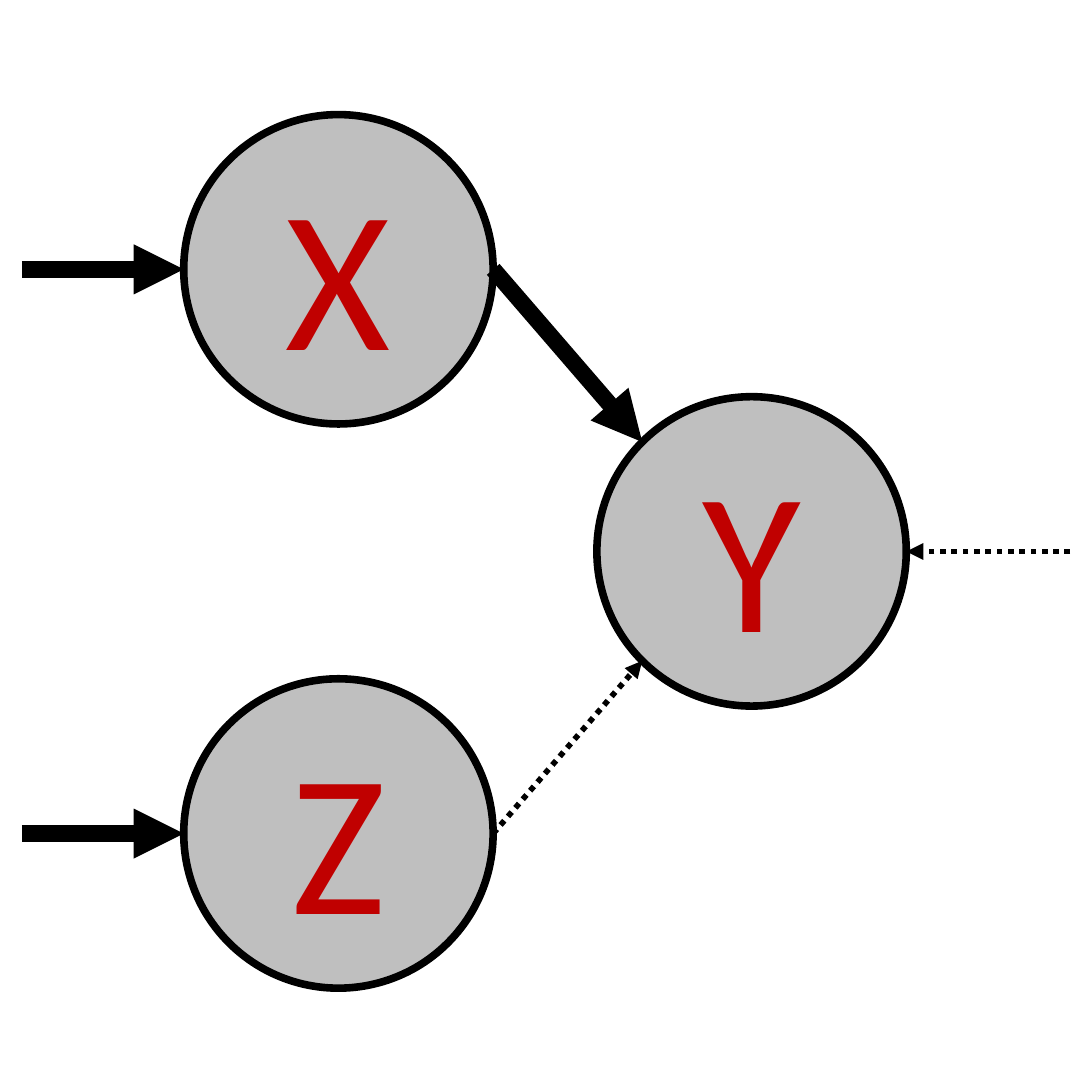
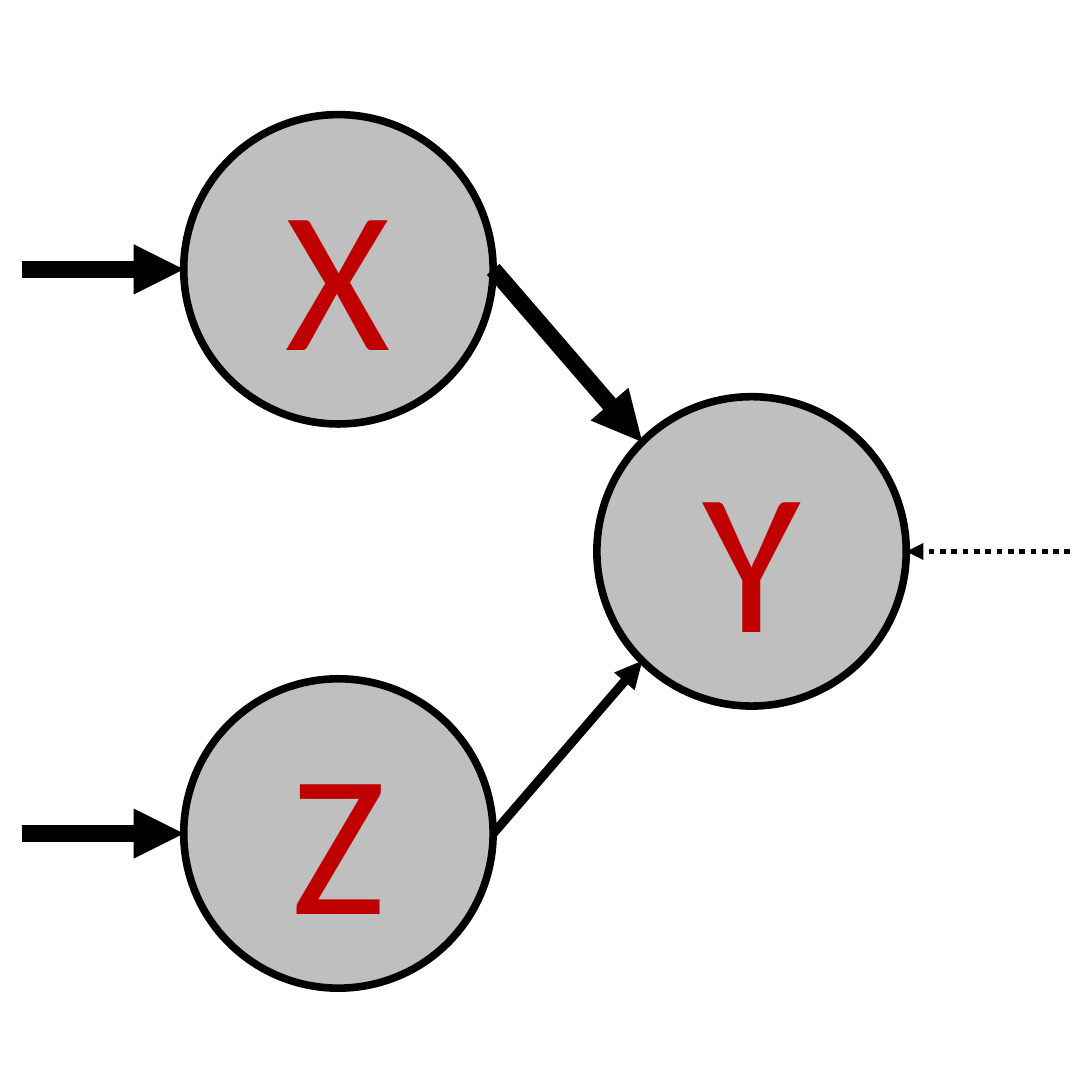
from math import sqrt

from lxml import etree
from pptx import Presentation
from pptx.dml.color import RGBColor
from pptx.enum.dml import MSO_LINE
from pptx.enum.shapes import MSO_CONNECTOR, MSO_SHAPE
from pptx.enum.text import MSO_ANCHOR, PP_ALIGN
from pptx.oxml.ns import qn
from pptx.util import Inches, Pt

BLACK = RGBColor(0x00, 0x00, 0x00)
GREY = RGBColor(0xBF, 0xBF, 0xBF)
RED = RGBColor(0xC0, 0x00, 0x00)

OVAL = MSO_SHAPE.OVAL
STRAIGHT = MSO_CONNECTOR.STRAIGHT
DOTTED = MSO_LINE.ROUND_DOT
MIDDLE = MSO_ANCHOR.MIDDLE
CENTER = PP_ALIGN.CENTER

FONT = "Calibri"
SLIDE_SIDE = 6
MARGIN = 0.12
RADIUS = 0.85
DIAGONAL = RADIUS / sqrt(2)

# Centres of the nodes; Y lies halfway between X and Z in height.
INPUT_X, OUTPUT_X = 1.86, 4.13
TOP_Y, BOTTOM_Y = 1.48, 4.58
MIDDLE_Y = (TOP_Y + BOTTOM_Y) / 2
NODES = {
    "X": (INPUT_X, TOP_Y),
    "Z": (INPUT_X, BOTTOM_Y),
    "Y": (OUTPUT_X, MIDDLE_Y),
}

STRONG, MEDIUM, WEAK = 6.6, 3.6, 2.25


def add_node(slide, letter, center):
    x, y = center
    node = slide.shapes.add_shape(
        OVAL, Inches(x - RADIUS), Inches(y - RADIUS),
        Inches(2 * RADIUS), Inches(2 * RADIUS))
    node.shadow.inherit = False
    node.fill.solid()
    node.fill.fore_color.rgb = GREY
    node.line.color.rgb = BLACK
    node.line.width = Pt(3)
    frame = node.text_frame
    frame.vertical_anchor = MIDDLE
    frame.text = letter
    para = frame.paragraphs[0]
    para.alignment = CENTER
    font = para.runs[0].font
    font.name = FONT
    font.size = Pt(80)
    font.color.rgb = RED


def add_arrow(slide, start, end, width, dash=None):
    arrow = slide.shapes.add_connector(
        STRAIGHT, *(Inches(value) for value in (*start, *end)))
    arrow.line.color.rgb = BLACK
    arrow.line.width = Pt(width)
    if dash is not None:
        arrow.line.dash_style = dash
    outline = arrow.line._get_or_add_ln()
    etree.SubElement(outline, qn("a:tailEnd"), type="triangle")
    etree.SubElement(arrow._element.spPr, qn("a:effectLst"))


def add_network(deck, z_width, z_dash=None):
    """Add a slide; the slides differ only in the arrow from Z to Y."""
    slide = deck.slides.add_slide(deck.slide_layouts[6])
    for letter, center in NODES.items():
        add_node(slide, letter, center)

    for y in (TOP_Y, BOTTOM_Y):
        add_arrow(slide, (MARGIN, y), (INPUT_X - RADIUS, y), STRONG)
    add_arrow(slide, (SLIDE_SIDE - MARGIN, MIDDLE_Y),
              (OUTPUT_X + RADIUS, MIDDLE_Y), WEAK, DOTTED)

    input_right = INPUT_X + RADIUS
    output_left = OUTPUT_X - DIAGONAL
    add_arrow(slide, (input_right, TOP_Y),
              (output_left, MIDDLE_Y - DIAGONAL), STRONG)
    add_arrow(slide, (input_right, BOTTOM_Y),
              (output_left, MIDDLE_Y + DIAGONAL), z_width, z_dash)


def main():
    deck = Presentation()
    deck.slide_width = deck.slide_height = Inches(SLIDE_SIDE)
    add_network(deck, WEAK, DOTTED)
    add_network(deck, MEDIUM)
    deck.save("out.pptx")


if __name__ == "__main__":
    main()
